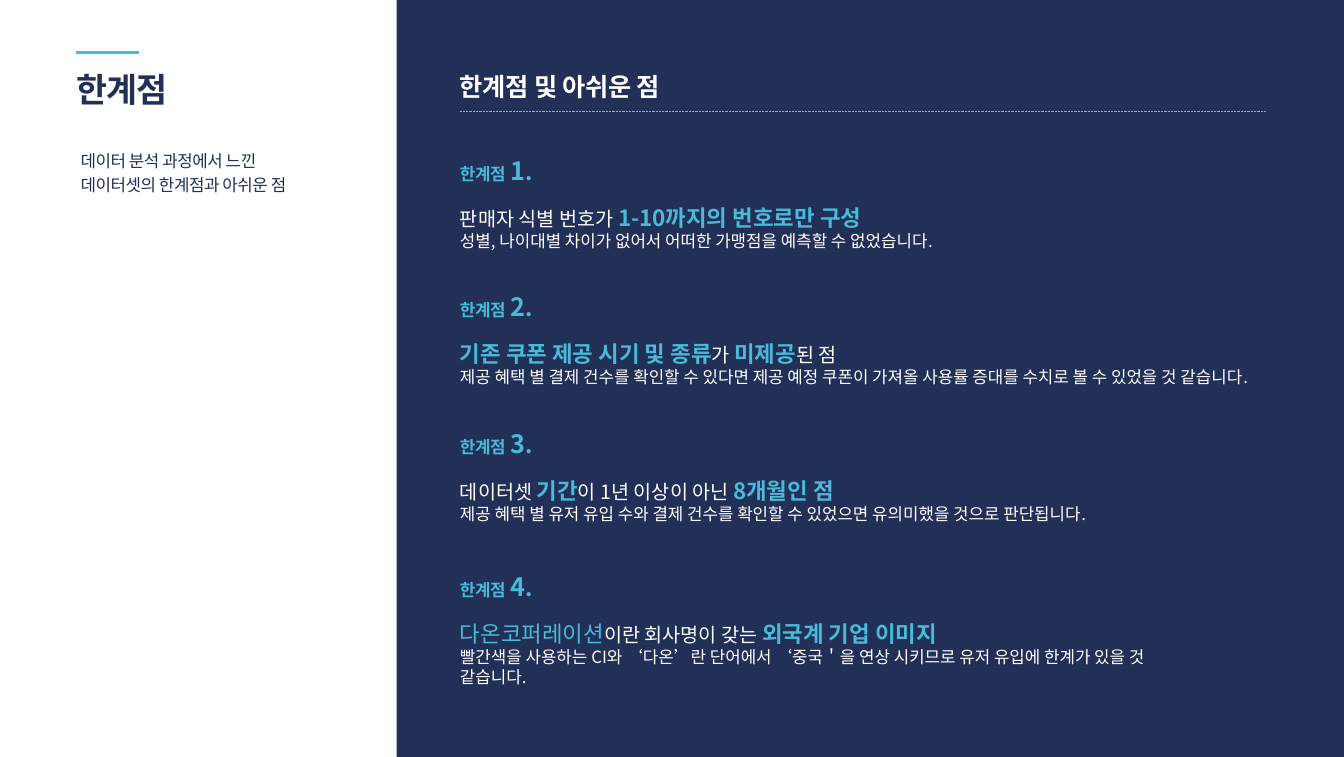
import pptx
import pptx.util
import pptx.dml.color
import pptx.enum.dml
import pptx.enum.shapes
import pptx.enum.text
import pptx.oxml
import pptx.oxml.ns

TITLE = "한계점"
SUMMARY = ["데이터 분석 과정에서 느낀", "데이터셋의 한계점과 아쉬운 점"]
HEADING = "한계점 및 아쉬운 점"
LIMITS = [
    {"lead": [("판매자 식별 번호가 ", "plain"), ("1-10까지의 번호로만 구성", "strong")],
     "detail": "성별, 나이대별 차이가 없어서 어떠한 가맹점을 예측할 수 없었습니다.",
     "top": 116, "width": 493},
    {"lead": [("기존 쿠폰 제공 시기 및 종류", "strong"), ("가 ", "plain"),
              ("미제공", "strong"), ("된 점", "plain")],
     "detail": "제공 혜택 별 결제 건수를 확인할 수 있다면 제공 예정 쿠폰이 가져올 사용률 증대를 수치로 볼 수 있었을 것 같습니다.",
     "top": 213, "width": 575.5},
    {"lead": [("데이터셋 ", "plain"), ("기간", "strong"), ("이 1년 이상이 아닌 ", "plain"),
              ("8개월인 점", "strong")],
     "detail": "제공 혜택 별 유저 유입 수와 결제 건수를 확인할 수 있었으면 유의미했을 것으로 판단됩니다.",
     "top": 310.5, "width": 493},
    {"lead": [("다온코퍼레이션", "name"), ("이란 회사명이 갖는 ", "plain"),
              ("외국계 기업 이미지", "strong")],
     "detail": "빨간색을 사용하는 CI와 ‘다온’란 단어에서 ‘중국＇을 연상 시키므로 유저 유입에 한계가 있을 것 같습니다.",
     "top": 412.75, "width": 493},
]

KOREAN, LATIN = "Noto Sans CJK KR", "Arial"
NAVY, CYAN, WHITE, GRAY = "222F57", "47BBD7", "FFFFFF", "9EA8B0"
THEME = {
    "title": (24, NAVY, True, KOREAN, -0.6),
    "summary": (12, NAVY, False, LATIN, -0.3),
    "heading": (18, WHITE, True, LATIN, -0.2),
    "label": (12, CYAN, True, KOREAN, -0.3),
    "gap": (16, CYAN, True, KOREAN, -0.3),
    "number": (18, CYAN, True, KOREAN, -0.3),
    "plain": (14, WHITE, False, KOREAN, 0),
    "strong": (16, CYAN, True, KOREAN, 0),
    "name": (16, CYAN, False, KOREAN, 0),
    "detail": (12, WHITE, False, KOREAN, 0),
}

WIDTH, HEIGHT = 959, 540
PANEL_LEFT = 283
CONTENT_LEFT = 328.25
LEAD_DROP = 29.5

Pt = pptx.util.Pt


def rgb(color):
    return pptx.dml.color.RGBColor.from_string(color)


def style_run(run, style):
    size, color, bold, face, spacing = THEME[style]
    run.font.size = Pt(size)
    run.font.bold = bold
    run.font.color.rgb = rgb(color)
    run.font.name = face
    properties = run._r.get_or_add_rPr()
    if spacing:
        properties.set("spc", str(round(spacing * 100)))
    east_asian = pptx.oxml.parse_xml(
        f'<a:ea {pptx.oxml.ns.nsdecls("a")} typeface="{KOREAN}"/>')
    properties.find(pptx.oxml.ns.qn("a:latin")).addnext(east_asian)


def fill_text(shape, left, top, width, height, lines, leading=None):
    shape.left, shape.top, shape.width, shape.height = map(Pt, (left, top, width, height))
    frame = shape.text_frame
    frame.word_wrap = True
    frame.auto_size = pptx.enum.text.MSO_AUTO_SIZE.SHAPE_TO_FIT_TEXT
    frame.vertical_anchor = pptx.enum.text.MSO_ANCHOR.TOP
    frame.margin_left = frame.margin_top = frame.margin_right = frame.margin_bottom = 0
    for index, line in enumerate(lines):
        paragraph = frame.add_paragraph() if index else frame.paragraphs[0]
        paragraph.alignment = pptx.enum.text.PP_ALIGN.LEFT
        paragraph.space_before = Pt(0)
        if leading:
            paragraph.line_spacing = Pt(leading)
        if shape.is_placeholder:
            properties = paragraph._p.get_or_add_pPr()
            properties.set("marL", "0")
            properties.set("indent", "0")
            properties.append(pptx.oxml.parse_xml(
                f'<a:buNone {pptx.oxml.ns.nsdecls("a")}/>'))
        for text, style in line:
            run = paragraph.add_run()
            run.text = text
            style_run(run, style)


def add_text(slide, left, top, width, height, lines, leading=None):
    box = slide.shapes.add_textbox(0, 0, 0, 0)
    fill_text(box, left, top, width, height, lines, leading)


def add_rule(slide, left, right, y, color, weight, dash=None):
    rule = slide.shapes.add_connector(
        pptx.enum.shapes.MSO_CONNECTOR.STRAIGHT, Pt(left), Pt(y), Pt(right), Pt(y))
    rule.line.color.rgb = rgb(color)
    rule.line.width = Pt(weight)
    if dash:
        rule.line.dash_style = dash
    rule._element.spPr.append(pptx.oxml.parse_xml(
        f'<a:effectLst {pptx.oxml.ns.nsdecls("a")}/>'))


def main():
    deck = pptx.Presentation()
    deck.slide_width, deck.slide_height = Pt(WIDTH), Pt(HEIGHT)
    slide = deck.slides.add_slide(deck.slide_layouts[1])

    fill_text(slide.shapes.title, 54.75, 46, 165, 31, [[(TITLE, "title")]], 32)
    fill_text(slide.placeholders[1], 57.5, 103.75, 206.5, 34.5,
              [[(line, "summary")] for line in SUMMARY], 17.8)
    add_rule(slide, 54, 99.5, 37.5, CYAN, 1.7)

    panel = slide.shapes.add_shape(
        pptx.enum.shapes.MSO_SHAPE.RECTANGLE,
        Pt(PANEL_LEFT), 0, Pt(WIDTH - PANEL_LEFT), Pt(HEIGHT))
    panel.shadow.inherit = False
    panel.fill.solid()
    panel.fill.fore_color.rgb = rgb(NAVY)
    panel.line.fill.background()

    add_text(slide, CONTENT_LEFT, 57.5, 283, 15, [[(HEADING, "heading")]], 14.8)
    add_rule(slide, CONTENT_LEFT, 903.5, 79.25, GRAY, 0.5,
             pptx.enum.dml.MSO_LINE.ROUND_DOT)

    for number, limit in enumerate(LIMITS, start=1):
        label = [(TITLE, "label"), (" ", "gap"), (str(number), "number"), (".", "gap")]
        add_text(slide, CONTENT_LEFT, limit["top"], 150, 17, [label], 16.3)
        add_text(slide, CONTENT_LEFT, limit["top"] + LEAD_DROP, limit["width"], 34,
                 [limit["lead"], [(limit["detail"], "detail")]])

    deck.save("out.pptx")


if __name__ == "__main__":
    main()
